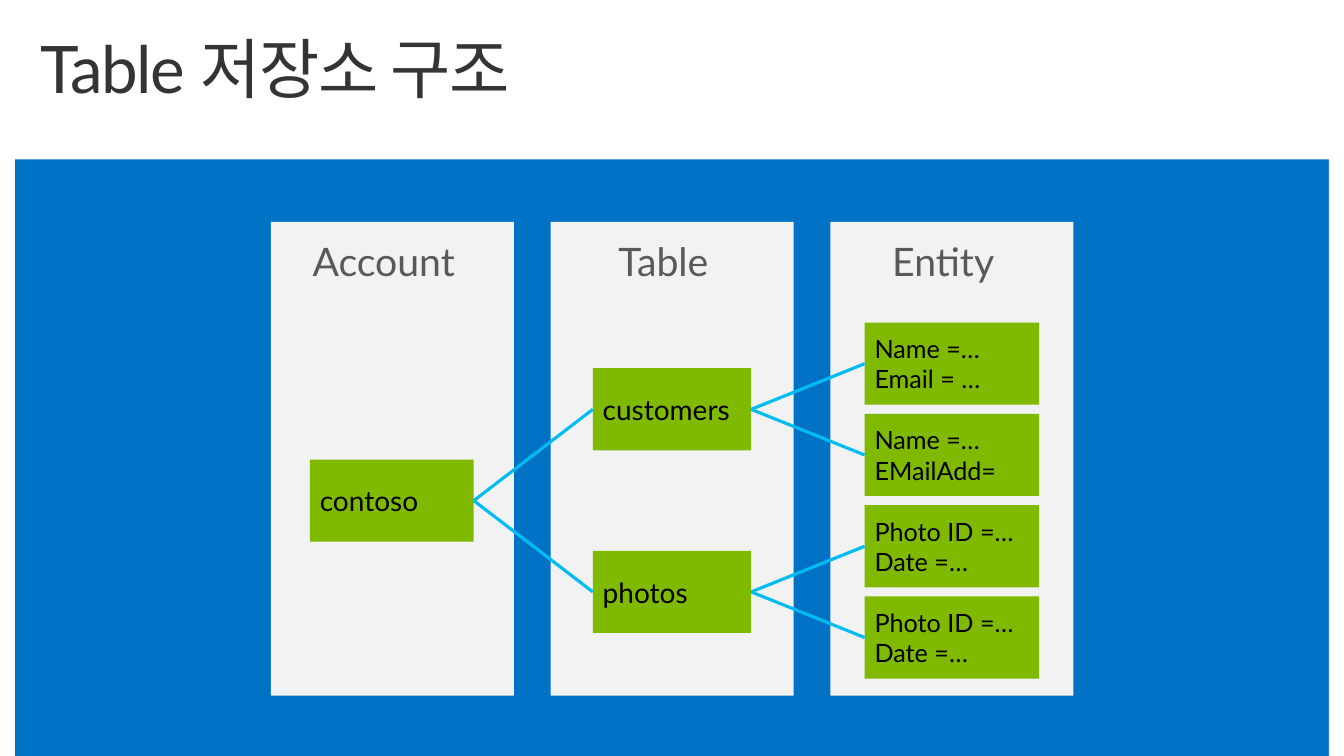
from pptx import Presentation
from pptx.dml.color import RGBColor
from pptx.enum.shapes import MSO_CONNECTOR, MSO_SHAPE
from pptx.enum.text import MSO_ANCHOR, MSO_AUTO_SIZE, PP_ALIGN
from pptx.oxml.ns import qn
from pptx.util import Cm, Pt
from lxml.etree import SubElement

BLUE = RGBColor(0x00, 0x72, 0xC6)
SKY = RGBColor(0x00, 0xBC, 0xF2)
GREEN = RGBColor(0x7F, 0xBA, 0x00)
WHITE = RGBColor(0xFF, 0xFF, 0xFF)
PALE = RGBColor(0xF2, 0xF2, 0xF2)
CHARCOAL = RGBColor(0x34, 0x34, 0x34)
GRAY = RGBColor(0x59, 0x59, 0x59)
BLACK = RGBColor(0x00, 0x00, 0x00)

PAGE_WIDTH, PAGE_HEIGHT = 33.87, 19.05
SIDE_WIDTH, HEADER_HEIGHT = 0.38, 4.02
COLUMN_LEFT, COLUMN_PITCH, COLUMN_TOP = 6.83, 7.05, 5.59
COLUMN_WIDTH, COLUMN_HEIGHT = 6.12, 11.94
ROW_TOP, ROW_PITCH, BOX_HEIGHT = 8.13, 2.3, 2.07
RIGHT_SITE, LEFT_SITE = 3, 1


class Board:
    font_name = "Lato"

    def __init__(self, page):
        self.page = page
        page.background.fill.solid()
        page.background.fill.fore_color.rgb = BLUE

    def style(self, para, size, color):
        para.font.name = self.font_name
        para.font.size = Pt(size)
        para.font.color.rgb = color

    def title(self, text):
        title = self.page.shapes.title
        title._element.getparent().append(title._element)
        title.left, title.top, title.width, title.height = Cm(0.76), Cm(0.81), Cm(27.43), Cm(2.57)
        frame = title.text_frame
        frame.text = text
        frame.auto_size = MSO_AUTO_SIZE.NONE
        frame.vertical_anchor = MSO_ANCHOR.TOP
        para = frame.paragraphs[0]
        para.alignment = PP_ALIGN.LEFT
        para.line_spacing = 0.9
        self.style(para, 46.8, CHARCOAL)
        para.runs[0].font._element.set("spc", "-100")

    def panel(self, left, top, width, height, color):
        panel = self.page.shapes.add_shape(
            MSO_SHAPE.RECTANGLE, Cm(left), Cm(top), Cm(width), Cm(height))
        panel.shadow.inherit = False
        panel.fill.solid()
        panel.fill.fore_color.rgb = color
        panel.line.fill.background()
        return panel

    def heading(self, left, text):
        box = self.page.shapes.add_textbox(Cm(left), Cm(COLUMN_TOP), Cm(COLUMN_WIDTH), Cm(4))
        frame = box.text_frame
        frame.word_wrap = True
        frame.margin_left = Cm(0.25)
        frame.margin_top = frame.margin_right = frame.margin_bottom = Cm(0.69)
        frame.text = text
        para = frame.paragraphs[0]
        para.alignment = PP_ALIGN.CENTER
        para.line_spacing = 0.9
        self.style(para, 28, GRAY)

    def node(self, left, row, width, text, size):
        node = self.panel(left, ROW_TOP + row * ROW_PITCH, width, BOX_HEIGHT, GREEN)
        frame = node.text_frame
        frame.vertical_anchor = MSO_ANCHOR.MIDDLE
        frame.text = text
        for para in frame.paragraphs:
            para.alignment = PP_ALIGN.LEFT
            self.style(para, size, BLACK)
        return node

    def link(self, parent, child):
        link = self.page.shapes.add_connector(MSO_CONNECTOR.STRAIGHT, 0, 0, 0, 0)
        link.begin_connect(parent, RIGHT_SITE)
        link.end_connect(child, LEFT_SITE)
        link.line.color.rgb = SKY
        link.line.width = Pt(2.25)
        SubElement(link._element.spPr, qn("a:effectLst"))


def main():
    deck = Presentation()
    deck.slide_width, deck.slide_height = Cm(PAGE_WIDTH), Cm(PAGE_HEIGHT)
    board = Board(deck.slides.add_slide(deck.slide_layouts[5]))

    for left in (0, PAGE_WIDTH - SIDE_WIDTH):
        board.panel(left, 0, SIDE_WIDTH, PAGE_HEIGHT, WHITE)
    board.panel(0, 0, PAGE_WIDTH, HEADER_HEIGHT, WHITE)
    board.title("Table 저장소 구조")

    for index, name in enumerate(("Account", "Table", "Entity")):
        left = COLUMN_LEFT + index * COLUMN_PITCH
        board.panel(left, COLUMN_TOP, COLUMN_WIDTH, COLUMN_HEIGHT, PALE)
        board.heading(left, name)

    tables = {
        "customers": ("Name =…\nEmail = …", "Name =…\nEMailAdd="),
        "photos": ("Photo ID =…\nDate =…", "Photo ID =…\nDate =…"),
    }
    account = board.node(7.81, 1.5, 4.13, "contoso", 20)
    for index, (name, entities) in enumerate(tables.items()):
        first_row = 2 * index
        table = board.node(14.94, first_row + 0.5, 3.99, name, 20)
        board.link(account, table)
        for row, text in enumerate(entities, first_row):
            entity = board.node(21.79, row, 4.4, text, 18)
            board.link(table, entity)

    deck.save("out.pptx")


if __name__ == "__main__":
    main()
